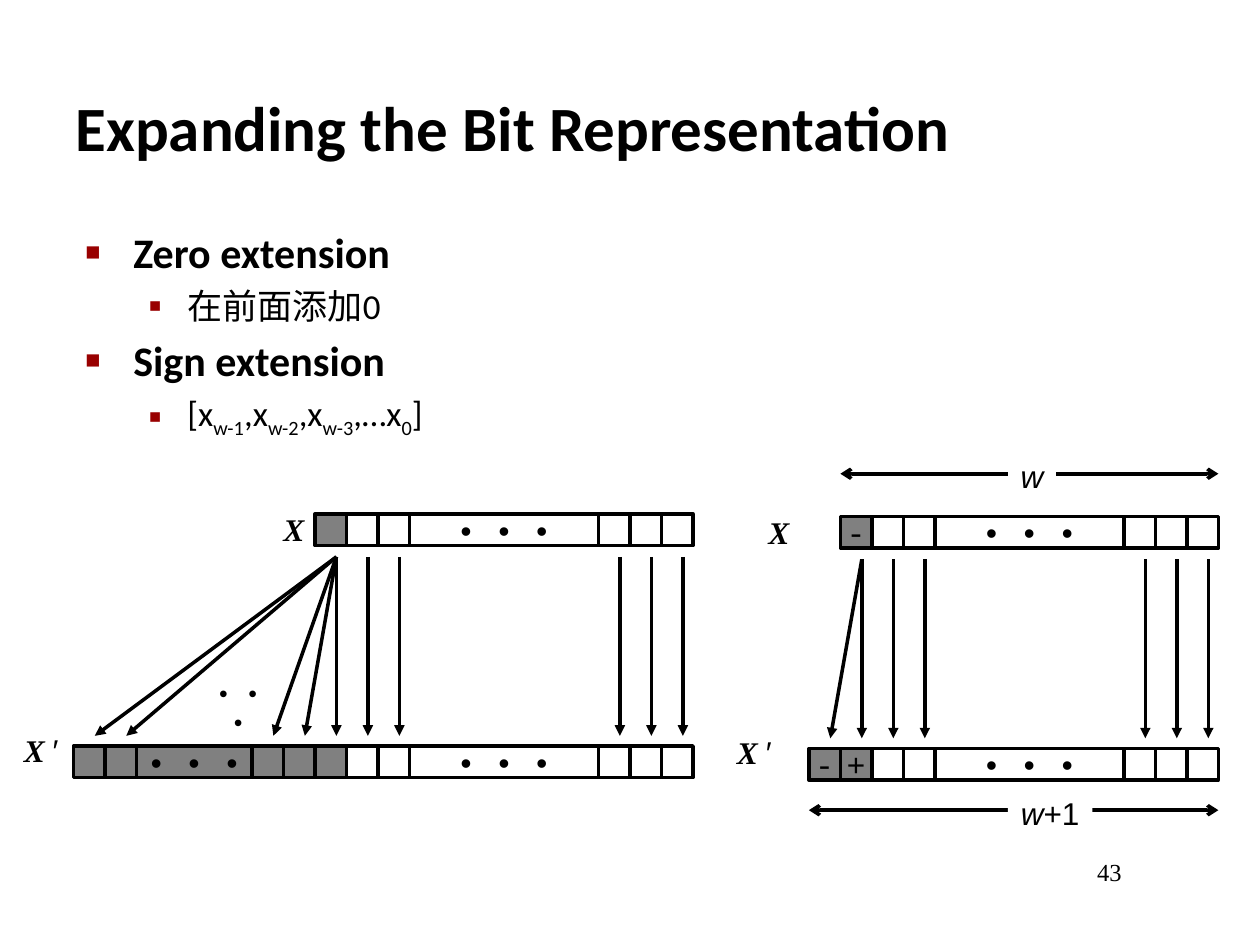
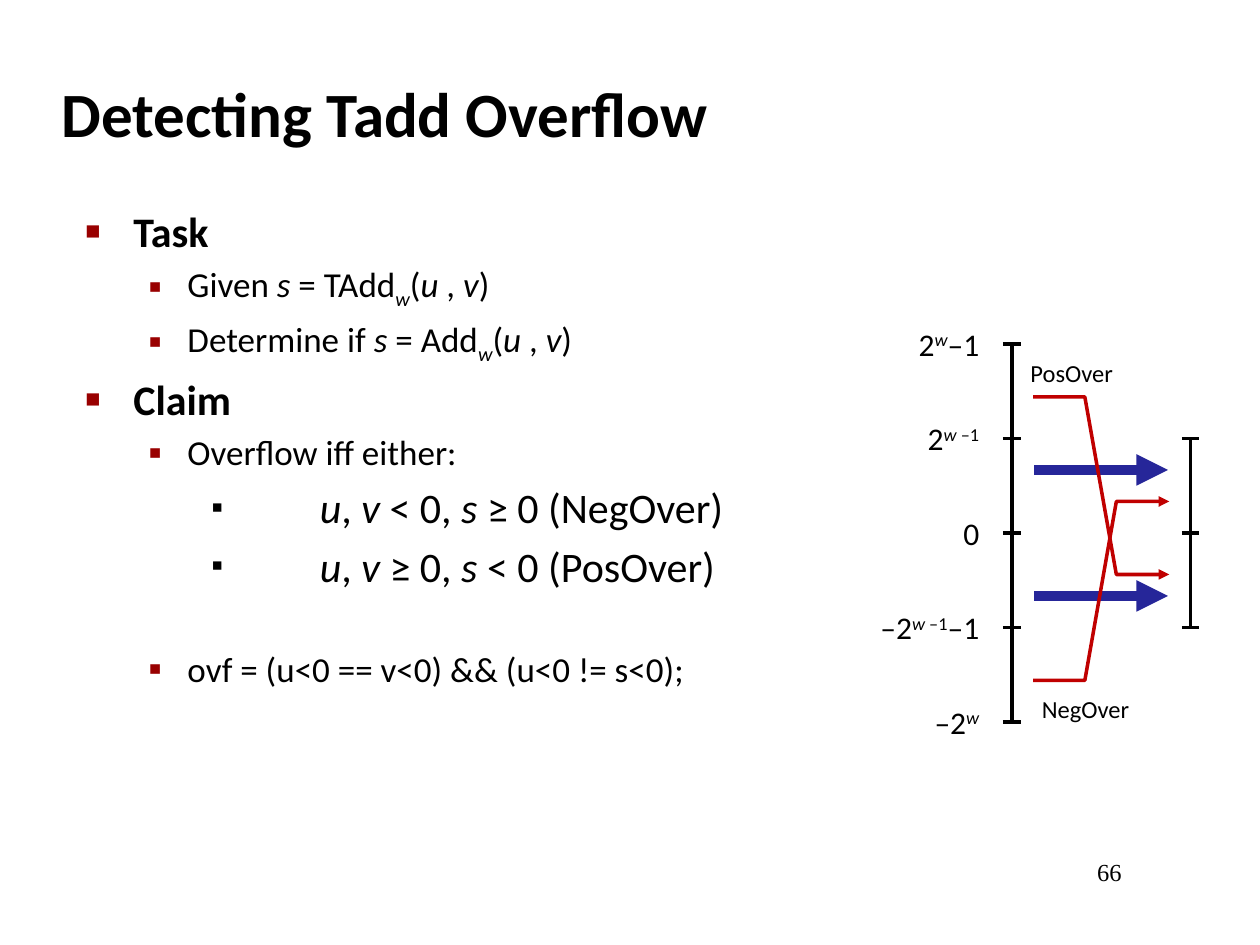
from lxml.etree import SubElement
from pptx import Presentation
from pptx.dml.color import RGBColor
from pptx.enum.shapes import MSO_CONNECTOR, MSO_SHAPE
from pptx.enum.text import MSO_ANCHOR, PP_ALIGN
from pptx.oxml.ns import qn
from pptx.util import Inches, Pt

COLORS = {"ink": "000000", "paper": "FFFFFF", "sign": "808080",
          "bullet": "990000", "flow": "262699", "overflow": "C00000"}
BODY_FONT, SERIF, SANS, MONO = "Calibri", "Times New Roman", "Arial", "Courier New"
BIT = 0.25                      # side of one bit cell
ROW_DROP = 1.84                 # from the upper word to the lower one
TICK_TOP, TICK_GAP = 2.73, 0.75
DOTS = "• • •"
BLANK = (1, "paper", "")
LOW_BITS = [BLANK] * 2 + [(6, "paper", DOTS)] + [BLANK] * 3
SIGN = (1, "sign", "")

# Per outline level: text indent, hanging indent, bullet, its size and colour, text size, bold
LEVELS = [(0.38, 0.38, "■", 60, "bullet", 24, True),
          (0.81, 0.31, "▪", 110, "bullet", 20, False),
          (1.86, 0.86, "▪", 80, "ink", 24, False)]


def rgb(name):
    return RGBColor.from_string(COLORS[name])


def box(left, top, width, height):
    return [Inches(length) for length in (left, top, width, height)]


def style_font(font, name, size, bold=False):
    font.name, font.size, font.bold = name, Pt(size), bold
    font.color.rgb = rgb("ink")


def add_runs(paragraph, runs):
    """Add strings or (text, marks[, font]); marks: b bold, i italic, - subscript, + superscript."""
    for item in [runs] if isinstance(runs, str) else runs:
        text, marks, *font = (item, "") if isinstance(item, str) else item
        run = paragraph.add_run()
        run.text = text
        if "b" in marks:
            run.font.bold = True
        if "i" in marks:
            run.font.italic = True
        if font:
            run.font.name = font[0]
        for mark, baseline in (("-", "-25000"), ("+", "30000")):
            if mark in marks:
                run._r.get_or_add_rPr().set("baseline", baseline)


def add_label(slide, place, runs, font, size, align=PP_ALIGN.LEFT, wrap=False, fill=None):
    label = slide.shapes.add_textbox(*box(*place))
    label.text_frame.word_wrap = wrap
    if fill:
        label.fill.solid()
        label.fill.fore_color.rgb = rgb(fill)
    paragraph = label.text_frame.paragraphs[0]
    paragraph.alignment = align
    style_font(paragraph.font, font, size)
    add_runs(paragraph, runs)


def style_line(line, color, width, head=None, tail=None):
    line.color.rgb = rgb(color)
    line.width = Pt(width)
    for end, kind in (("a:headEnd", head), ("a:tailEnd", tail)):
        if kind:
            SubElement(line._get_or_add_ln(), qn(end)).set("type", kind)


def add_line(slide, start, end, color="ink", width=2, head=None, tail=None):
    connector = slide.shapes.add_connector(MSO_CONNECTOR.STRAIGHT, *box(*start, *end))
    style_line(connector.line, color, width, head, tail)
    SubElement(connector._element.spPr, qn("a:effectLst"))


def add_titled_slide(deck, title, place, number):
    slide = deck.slides.add_slide(deck.slide_layouts[5])
    heading = slide.shapes.title
    heading.left, heading.top, heading.width, heading.height = box(*place)
    heading.text_frame.text = title
    heading.text_frame.vertical_anchor = MSO_ANCHOR.MIDDLE
    paragraph = heading.text_frame.paragraphs[0]
    paragraph.alignment = PP_ALIGN.LEFT
    style_font(paragraph.font, BODY_FONT, 36, bold=True)
    add_label(slide, (7.58, 6.75, 1.42, 0.5), number, SERIF, 14, PP_ALIGN.RIGHT, wrap=True)
    return slide


def set_bullet(paragraph, level):
    indent, hanging, char, percent, color, *_ = LEVELS[level]
    props = paragraph._p.get_or_add_pPr()
    props.set("marL", str(Inches(indent)))
    props.set("indent", str(-Inches(hanging)))
    SubElement(SubElement(props, qn("a:buClr")), qn("a:srgbClr")).set("val", COLORS[color])
    SubElement(props, qn("a:buSzPct")).set("val", str(percent * 1000))
    SubElement(props, qn("a:buFont")).set("typeface", SANS)
    SubElement(props, qn("a:buChar")).set("char", char)


def add_outline(slide, top, items):
    """Write (level, runs[, extra points above]) as a bulleted outline."""
    frame = slide.shapes.add_textbox(*box(0.58, top, 8.67, 4.83)).text_frame
    frame.word_wrap = True
    for index, (level, runs, *extra) in enumerate(items):
        paragraph = frame.add_paragraph() if index else frame.paragraphs[0]
        size, bold = LEVELS[level][-2:]
        paragraph.level = level
        set_bullet(paragraph, level)
        paragraph.space_before = Pt(0.2 * size + sum(extra))
        style_font(paragraph.font, BODY_FONT, size, bold)
        add_runs(paragraph, runs)


def add_word(slide, right, top, cells):
    """Draw a row of cells ending at right; return the left edges of its single bits."""
    left = right - BIT * sum(bits for bits, _, _ in cells)
    single_bits = []
    for bits, fill, text in cells:
        cell = slide.shapes.add_shape(MSO_SHAPE.RECTANGLE, *box(left, top, bits * BIT, BIT))
        cell.shadow.inherit = False
        cell.fill.solid()
        cell.fill.fore_color.rgb = rgb(fill)
        style_line(cell.line, "ink", 2)
        if text:
            frame = cell.text_frame
            frame.word_wrap = False
            frame.margin_left = frame.margin_right = frame.margin_top = frame.margin_bottom = 0
            frame.vertical_anchor = MSO_ANCHOR.MIDDLE
            paragraph = frame.paragraphs[0]
            paragraph.alignment = PP_ALIGN.CENTER
            style_font(paragraph.font, MONO, 18)
            add_runs(paragraph, text)
        if bits == 1:
            single_bits.append(left)
        left += bits * BIT
    return single_bits


def add_extension(slide, right, top, sign, extension, label_lefts):
    """Show a word above its extended form, with an arrow for each copied bit."""
    bottom = top + ROW_DROP
    sources = add_word(slide, right, top, [sign] + LOW_BITS)
    targets = add_word(slide, right, bottom, extension + LOW_BITS)
    sources = sources[:1] * (len(targets) - len(sources)) + sources
    for source, target in zip(sources, targets):
        add_line(slide, (source + 0.17, top + 0.34), (target + 0.17, bottom - 0.08),
                 tail="triangle")
    word_left, extended_left = label_lefts
    add_label(slide, (word_left, top - 0.08, 0.43, 0.4), [("X", "bi")], SERIF, 18)
    add_label(slide, (extended_left, bottom - 0.17, 0.49, 0.4),
              [("X ", "bi"), ("′", "", SANS)], SERIF, 18)


def add_span(slide, left, right, y, label_width, runs):
    add_line(slide, (left, y), (right, y), head="arrow", tail="arrow")
    add_label(slide, (8, y - 0.18, label_width, 0.4), runs, SANS, 18,
              PP_ALIGN.CENTER, fill="paper")


def tick_y(tick):
    return TICK_TOP + tick * TICK_GAP


def add_axis(slide, x, first, last):
    add_line(slide, (x, tick_y(first)), (x, tick_y(last)))
    for tick in range(first, last + 1):
        add_line(slide, (x - 0.07, tick_y(tick)), (x + 0.07, tick_y(tick)))


def add_overflow_path(slide, start_y, end_y):
    points = [(Inches(x), Inches(y)) for x, y in
              ((8.2, start_y), (8.61, start_y), (8.86, end_y), (9.28, end_y))]
    builder = slide.shapes.build_freeform(*points[0])
    builder.add_line_segments(points[1:], close=False)
    route = builder.convert_to_shape()
    route.shadow.inherit = False
    route.fill.background()
    style_line(route.line, "overflow", 2, tail="triangle")


def build_bit_expansion(deck):
    slide = add_titled_slide(deck, "Expanding the Bit Representation", (0.5, 0.5, 9.08, 1), "43")
    add_outline(slide, 1.75, [
        (0, "Zero extension"),
        (1, "在前面添加0"),
        (0, "Sign extension"),
        (1, ["[x", ("w-1", "-"), ",x", ("w-2", "-"), ",x", ("w-3", "-"),
             ",…x", ("0", "-"), "]"]),
    ])
    add_extension(slide, 5.5, 4.08, SIGN,
                  [SIGN] * 2 + [(3.67, "sign", DOTS)] + [SIGN] * 3, (2.15, 0.09))
    add_label(slide, (1.5, 5.33, 0.78, 0.33), DOTS, MONO, 14, PP_ALIGN.CENTER)
    minus, plus = (1, "sign", "-"), (1, "sign", "+")
    add_extension(slide, 9.67, 4.1, minus, [minus, plus], (6, 5.75))
    add_span(slide, 6.67, 9.67, 3.76, 0.38, [("w", "i")])
    add_span(slide, 6.42, 9.67, 6.43, 0.67, [("w", "i"), "+1"])


def build_overflow_check(deck):
    slide = add_titled_slide(deck, "Detecting Tadd Overflow", (0.39, 0.48, 8.3, 0.83), "66")
    arguments = [("w", "i-"), "(", ("u", "i"), " , ", ("v", "i"), ")"]
    u, v, s = [(letter, "i") for letter in "uvs"]
    add_outline(slide, 1.58, [
        (0, "Task"),
        (1, ["Given ", s, " = TAdd"] + arguments),
        (1, ["Determine if ", s, " = Add"] + arguments),
        (0, "Claim"),
        (1, "Overflow iff either:"),
        (2, [u, ", ", v, " < 0, ", s, " ≥ 0 (NegOver)"]),
        (2, [u, ", ", v, " ≥ 0, ", s, " < 0 (PosOver)"]),
        (1, "ovf = (u<0 == v<0) && (u<0 != s<0);", 28.4),
    ])
    add_axis(slide, 8.03, 0, 4)
    add_axis(slide, 9.45, 1, 3)
    power, half_power = [("w", "i+")], [("w ", "i+"), ("–1", "+")]
    tick_labels = [["2"] + power + ["–1"], ["2"] + half_power, "0",
                   ["–2"] + half_power + ["–1"], ["–2"] + power]
    for tick, runs in enumerate(tick_labels):
        add_label(slide, (6.67, tick_y(tick) - 0.2, 1.2, 0.4), runs, BODY_FONT, 18,
                  PP_ALIGN.RIGHT, wrap=True)
    for y in (3.73, 4.73):
        add_line(slide, (8.21, y), (9.27, y), "flow", 6, tail="triangle")
    add_overflow_path(slide, 3.15, 4.56)
    add_overflow_path(slide, 5.4, 3.98)
    add_label(slide, (8.08, 2.79, 0.86, 0.34), "PosOver", BODY_FONT, 14)
    add_label(slide, (8.17, 5.46, 0.9, 0.34), "NegOver", BODY_FONT, 14)


def main():
    deck = Presentation()
    deck.slide_width, deck.slide_height = Inches(10), Inches(7.5)
    build_bit_expansion(deck)
    build_overflow_check(deck)
    deck.save("out.pptx")


if __name__ == "__main__":
    main()
